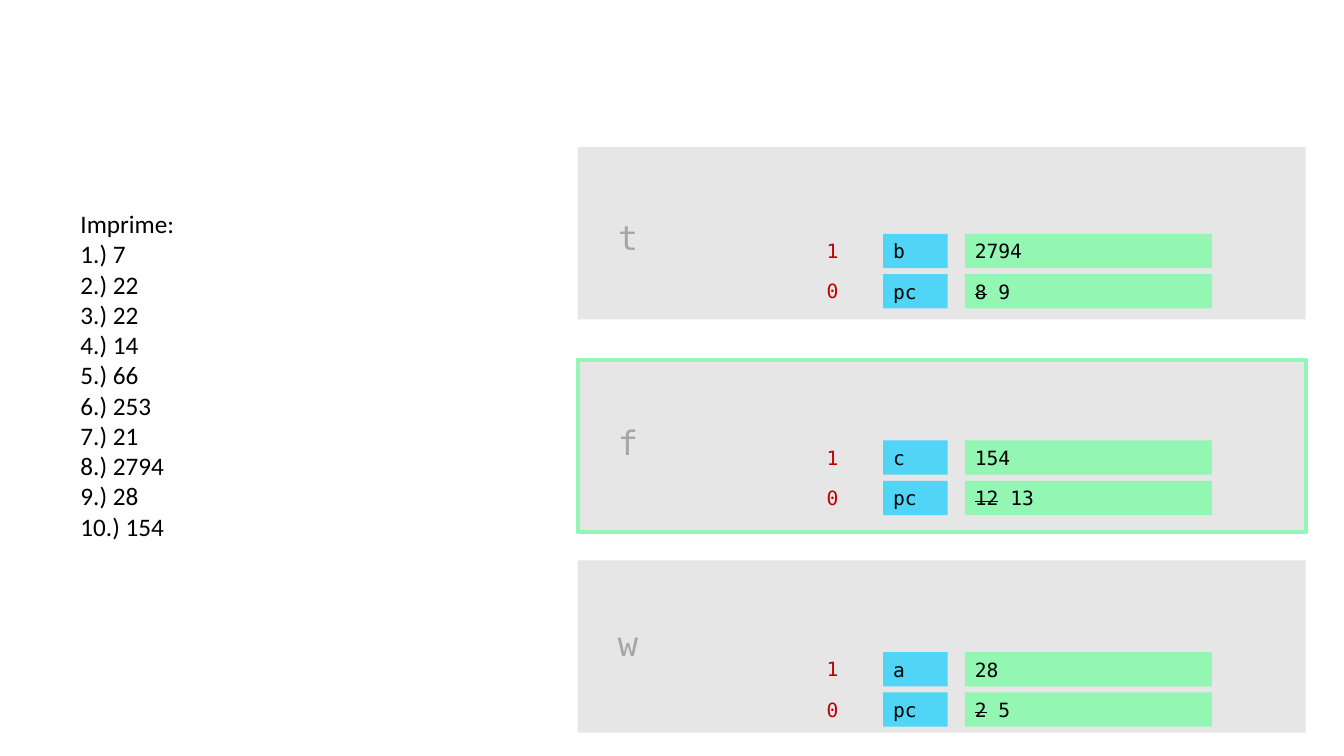
"""Build a slide with printed results beside three stack frames of variables."""
import pptx
import pptx.util
import pptx.dml.color
import pptx.enum.shapes
import pptx.enum.text
import lxml.etree
from pptx.util import Inches

PRINTED = [7, 22, 22, 14, 66, 253, 21, 2794, 28, 154]
FRAMES = [
    {"name": "w", "top": 5.56, "name_top": 6.13, "rows_top": 6.47, "active": False,
     "variables": [("1", "a", "", "28"), ("0", "pc", "2", " 5")]},
    {"name": "f", "top": 3.57, "name_top": 4.14, "rows_top": 4.37, "active": True,
     "variables": [("1", "c", "", "154"), ("0", "pc", "12", " 13")]},
    {"name": "t", "top": 1.46, "name_top": 2.1, "rows_top": 2.32, "active": False,
     "variables": [("1", "b", "", "2794"), ("0", "pc", "8", " 9")]},
]
THEME = {
    "panel": "E7E6E6", "border": "94F6B4", "variable": "00CCFF", "value": "66FF99",
    "opacity": 65000,
    "list": {"name": "Calibri", "size": 18, "color": "000000"},
    "frame": {"name": "DejaVu Sans Mono", "size": 24, "color": "A6A6A6"},
    "index": {"name": "DejaVu Sans Mono", "size": 14, "color": "C00000"},
    "cell": {"name": "DejaVu Sans Mono", "size": 14, "color": "000000"},
}
ROW_STEP, ROW_HEIGHT = 0.4, 0.34


def rgb(value):
    return pptx.dml.color.RGBColor.from_string(value)


def write(shape, paragraphs, style, wrap=True):
    """Fill a shape with paragraphs made of (text, struck) runs."""
    frame = shape.text_frame
    frame.word_wrap = wrap
    for number, runs in enumerate(paragraphs):
        paragraph = frame.add_paragraph() if number else frame.paragraphs[0]
        paragraph.alignment = pptx.enum.text.PP_ALIGN.LEFT
        for text, struck in runs:
            run = paragraph.add_run()
            run.text = text
            formats = {"name": style["name"], "size": pptx.util.Pt(style["size"])}
            for attribute, value in formats.items():
                setattr(run.font, attribute, value)
            run.font.color.rgb = rgb(style["color"])
            if struck:
                run.font._element.set("strike", "sngStrike")


def add_text(slide, box, paragraphs, style, wrap=True):
    shape = slide.shapes.add_textbox(*map(Inches, box))
    write(shape, paragraphs, style, wrap)


def add_box(slide, box, color, opacity=None):
    """Add a plain rectangle, optionally translucent."""
    rectangle = pptx.enum.shapes.MSO_SHAPE.RECTANGLE
    shape = slide.shapes.add_shape(rectangle, *map(Inches, box))
    shape.shadow.inherit = False
    shape.fill.solid()
    shape.fill.fore_color.rgb = rgb(color)
    shape.line.fill.background()
    if opacity:
        color_element = shape._element.spPr.xpath("./a:solidFill/a:srgbClr")[0]
        alpha = lxml.etree.SubElement(color_element, pptx.oxml.ns.qn("a:alpha"))
        alpha.set("val", str(opacity))
    return shape


def add_frame(slide, frame):
    """Add one stack frame with its name and variable rows."""
    panel = add_box(slide, (5.73, frame["top"], 7.22, 1.71), THEME["panel"])
    if frame["active"]:
        panel.line.color.rgb = rgb(THEME["border"])
        panel.line.width = pptx.util.Pt(3)
    add_text(slide, (6.03, frame["name_top"], 0.64, 0.5),
             [[(frame["name"], False)]], THEME["frame"])
    for row, (index, variable, old, new) in enumerate(frame["variables"]):
        top = frame["rows_top"] + row * ROW_STEP
        add_text(slide, (8.1, top, 0.32, ROW_HEIGHT),
                 [[(index, False)]], THEME["index"], wrap=False)
        value_runs = [(old, True)] * bool(old) + [(new, False)]
        cells = [(8.76, 0.64, "variable", [(variable, False)]),
                 (9.57, 2.45, "value", value_runs)]
        for left, width, color, runs in cells:
            cell = add_box(slide, (left, top, width, ROW_HEIGHT),
                           THEME[color], THEME["opacity"])
            write(cell, [runs], THEME["cell"])


presentation = pptx.Presentation()
presentation.slide_width, presentation.slide_height = Inches(13.33), Inches(7.5)
slide = presentation.slides.add_slide(presentation.slide_layouts[6])
lines = ["Imprime:"] + [f"{number}.) {value}" for number, value in enumerate(PRINTED, 1)]
add_text(slide, (0.7, 2.02, 2.3, 3.43), [[(line, False)] for line in lines], THEME["list"])
for stack_frame in FRAMES:
    add_frame(slide, stack_frame)
presentation.save("out.pptx")
